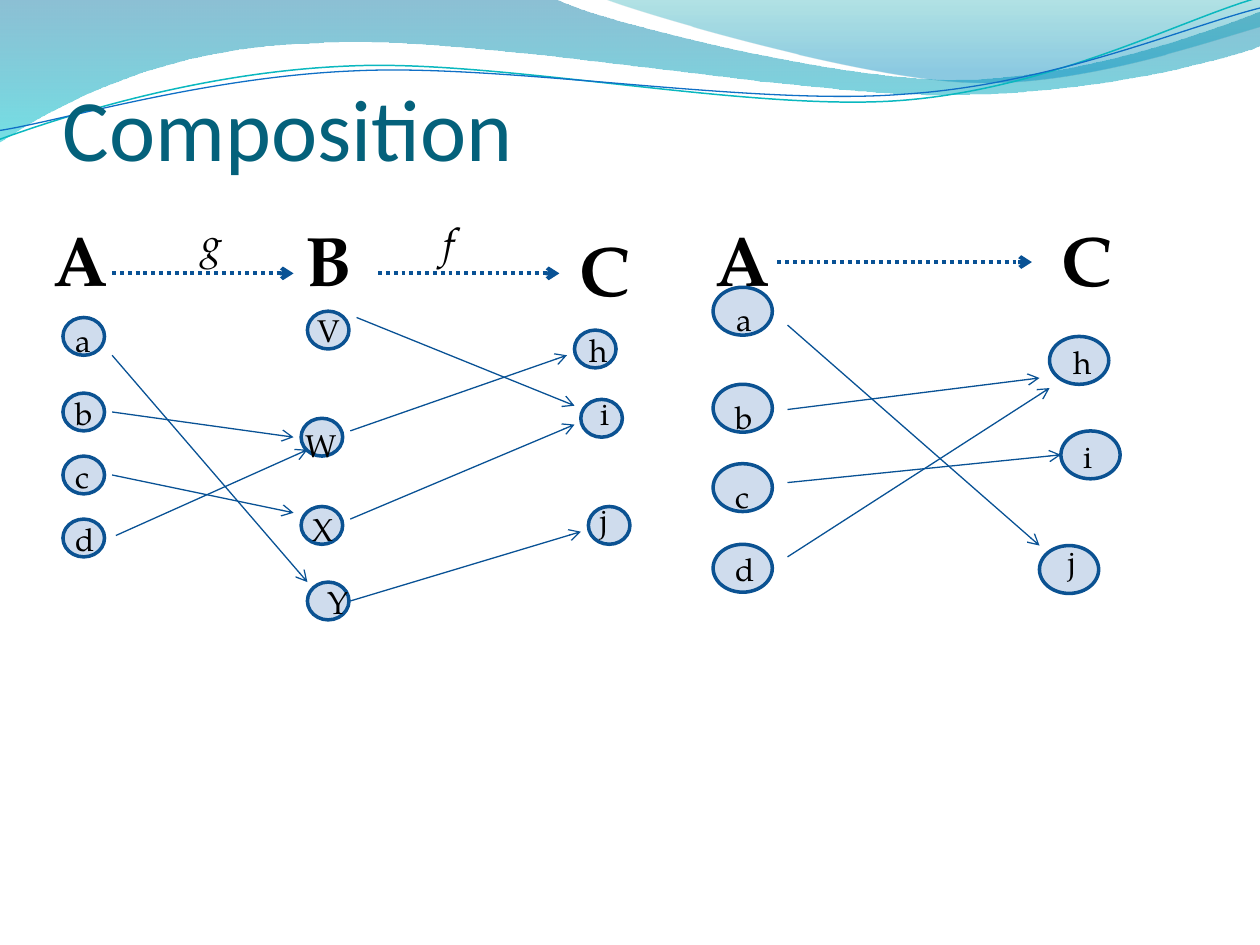
import pptx
import pptx.util
import pptx.dml.color
import pptx.enum.dml
import pptx.enum.shapes
import pptx.enum.text
import pptx.oxml.ns
from lxml import etree

Inches = pptx.util.Inches
Pt = pptx.util.Pt
RGBColor = pptx.dml.color.RGBColor
qn = pptx.oxml.ns.qn

BLACK = RGBColor(0x00, 0x00, 0x00)
TITLE = RGBColor(0x04, 0x61, 0x7B)
NODE_FILL = RGBColor(0x4F, 0x81, 0xBD)
NODE_LINE = RGBColor(0x0B, 0x52, 0x92)
ARROW = RGBColor(0x09, 0x52, 0x95)
DEEP_BLUE = RGBColor(0x00, 0x74, 0xA1)
CYAN = RGBColor(0x00, 0xC6, 0xCF)
TEAL = RGBColor(0x00, 0xA1, 0xA9)
SKY = RGBColor(0x00, 0x8B, 0xBF)
WAVE_TEAL = RGBColor(0x0A, 0xB8, 0xBF)
WAVE_BLUE = RGBColor(0x0F, 0x6F, 0xC6)

SERIF = "TeX Gyre Pagella"
WAVE_TILT = 357.3


def set_alpha(clr, percent):
    etree.SubElement(clr, qn("a:alpha")).set("val", str(percent * 1000))


def add_text(shapes, x, y, w, h, text, size, color=BLACK, font=SERIF,
             bold=False, italic=False):
    sp = shapes.add_textbox(Inches(x), Inches(y), Inches(w), Inches(h))
    tf = sp.text_frame
    tf.word_wrap = True
    tf.auto_size = pptx.enum.text.MSO_AUTO_SIZE.SHAPE_TO_FIT_TEXT
    r = tf.paragraphs[0].add_run()
    r.text = text
    r.font.size, r.font.name = Pt(size), font
    r.font.bold, r.font.italic = bold, italic
    r.font.color.rgb = color
    return tf


def add_node(shapes, x, y, w, h):
    sp = shapes.add_shape(pptx.enum.shapes.MSO_SHAPE.FLOWCHART_CONNECTOR,
                          Inches(x), Inches(y), Inches(w), Inches(h))
    sp.shadow.inherit = False
    sp.fill.solid()
    sp.fill.fore_color.rgb = NODE_FILL
    set_alpha(sp.element.spPr.find(".//" + qn("a:srgbClr")), 27)
    sp.line.color.rgb = NODE_LINE
    sp.line.width = Pt(2)


def add_arrow(shapes, x1, y1, x2, y2, dotted=False):
    cx = shapes.add_connector(pptx.enum.shapes.MSO_CONNECTOR.STRAIGHT,
                              Inches(x1), Inches(y1), Inches(x2), Inches(y2))
    cx.line.color.rgb = ARROW
    cx.line.width = Pt(2.25 if dotted else 0.75)
    if dotted:
        cx.line.dash_style = pptx.enum.dml.MSO_LINE.ROUND_DOT
    spPr = cx.element.spPr
    etree.SubElement(spPr.find(qn("a:ln")), qn("a:tailEnd")).set("type", "arrow")
    etree.SubElement(spPr, qn("a:effectLst"))


def add_path(shapes, start, segments, close):
    """Freeform; a segment of 2 numbers is a line, of 6 a Bezier curve."""
    fb = shapes.build_freeform(Inches(start[0]), Inches(start[1]))
    for seg in segments:
        fb.add_line_segments([(Inches(x), Inches(y))
                              for x, y in zip(seg[::2], seg[1::2])], close=False)
    if close:
        fb.add_line_segments([], close=True)
    sp = fb.convert_to_shape()
    sp.shadow.inherit = False
    # Gather the three points of each curve into one cubic segment
    lines = iter(list(sp.element.spPr.iter(qn("a:lnTo"))))
    for seg in segments:
        first = next(lines)
        if len(seg) == 6:
            curve = etree.Element(qn("a:cubicBezTo"))
            first.addprevious(curve)
            for line in (first, next(lines), next(lines)):
                curve.append(line[0])
                line.getparent().remove(line)
    return sp


def add_band(shapes, start, segments, stops):
    sp = add_path(shapes, start, segments, True)
    sp.line.fill.background()
    sp.fill.gradient()
    sp.fill.gradient_angle = 270
    for stop, (position, color, alpha) in zip(sp.fill.gradient_stops, stops):
        stop.position = position
        stop.color.rgb = color
    for clr, (_, _, alpha) in zip(sp.element.spPr.iter(qn("a:srgbClr")), stops):
        set_alpha(clr, alpha)


def add_wave(shapes, start, segments, color, width):
    sp = add_path(shapes, start, segments, False)
    sp.rotation = WAVE_TILT
    sp.fill.background()
    sp.line.color.rgb = color
    sp.line.width = Pt(width)


def header_waves(slide):
    # Translucent bands
    add_band(slide.shapes, (0, 0), [
        (4.4, -0.01), (4.76, 0.17, 6.64, 0.63, 7.58, 0.63),
        (8.53, 0.63, 9.58, 0.26, 10, 0.09), (10.01, 0.36),
        (9.83, 0.44, 8.7, 0.76, 7.46, 0.75), (6.22, 0.75, 3.82, 0.28, 2.57, 0.34),
        (1.29, 0.36, 0.46, 0.83, -0.01, 1.13), (0, 0)],
        [(0, DEEP_BLUE, 45), (1, CYAN, 55)])
    add_band(slide.shapes, (4.79, -0.01), [
        (5.09, 0.11, 6.82, 0.62, 7.69, 0.65), (8.56, 0.69, 9.61, 0.32, 10, 0.21),
        (10, 0), (4.79, -0.01)],
        [(0, TEAL, 30), (0.8, SKY, 45)])
    # Thin lines, drawn level and then tilted
    shapes = slide.shapes.add_group_shape().shapes
    add_wave(shapes, (-0.02, 0.87), [
        (0.47, 0.72, 1.58, 0.41, 2.78, 0.42), (3.96, 0.42, 5.91, 0.93, 7.12, 0.9),
        (8.32, 0.87, 9.4, 0.36, 10, 0.22)], WAVE_TEAL, 0.85)
    add_wave(shapes, (-0.02, 0.8), [
        (0.46, 0.75, 1.64, 0.45, 2.83, 0.46), (4.03, 0.46, 5.96, 0.89, 7.16, 0.85),
        (8.35, 0.83, 9.42, 0.42, 10.02, 0.3)], WAVE_BLUE, 0.75)


def title(slide, x, y, w, h):
    tf = add_text(slide.shapes, x, y, w, h, "Composition", 50, TITLE, "Calibri")
    tf.auto_size = pptx.enum.text.MSO_AUTO_SIZE.NONE
    tf.margin_left = tf.margin_right = tf.margin_bottom = 0
    tf.vertical_anchor = pptx.enum.text.MSO_ANCHOR.BOTTOM


def mapping(shapes, x, y, node_size, label_size, sets, nodes, set_arrows, arrows,
            functions=()):
    """Diagram at (x, y); each node is (label, oval x, oval y, label x, label y)."""
    for name, dx, dy in sets:
        add_text(shapes, x + dx, y + dy, 0.75, 0.77, name, 40, bold=True)
    for name, dx, dy in functions:
        add_text(shapes, x + dx, y + dy, 0.39, 0.5, name, 24, italic=True)
    for label, ox, oy, tx, ty in nodes:
        add_node(shapes, x + ox, y + oy, *node_size)
        add_text(shapes, x + tx, y + ty, *label_size, label, 18)
    for group, dotted in ((set_arrows, True), (arrows, False)):
        for x1, y1, x2, y2 in group:
            add_arrow(shapes, x + x1, y + y1, x + x2, y + y2, dotted)


def main():
    prs = pptx.Presentation()
    prs.slide_width, prs.slide_height = Inches(10), Inches(7.5)
    slide = prs.slides.add_slide(prs.slide_layouts[6])
    header_waves(slide)
    title(slide, 0.5, 0.17, 9, 1.25)

    # Composed mapping, A to C
    mapping(slide.shapes, 5.58, 1.67, (0.47, 0.38), (0.31, 0.4),
            sets=[("A", 0, 0), ("C", 2.75, 0)],
            nodes=[("a", 0.08, 0.61, 0.17, 0.66), ("b", 0.08, 1.38, 0.16, 1.44),
                   ("c", 0.08, 2.01, 0.16, 2.07), ("d", 0.08, 2.65, 0.16, 2.65),
                   ("h", 2.75, 1, 2.84, 1), ("i", 2.84, 1.75, 2.92, 1.75),
                   ("j", 2.67, 2.66, 2.8, 2.58)],
            set_arrows=[(0.59, 0.41, 2.61, 0.41)],
            arrows=[(0.67, 0.91, 2.67, 2.66), (0.67, 2.75, 2.75, 1.41),
                    (0.67, 1.58, 2.67, 1.33), (0.67, 2.16, 2.84, 1.94)])

    # Two steps, A to B to C
    mapping(slide.shapes.add_group_shape().shapes, 0.33, 1.67, (0.33, 0.3), (0.22, 0.4),
            sets=[("A", 0, 0), ("B", 2, 0), ("C", 4.17, 0.08)],
            functions=[("g", 1.17, 0), ("f", 3.09, 0)],
            nodes=[("a", 0.17, 0.85, 0.17, 0.83), ("b", 0.17, 1.45, 0.17, 1.41),
                   ("c", 0.17, 1.95, 0.17, 1.91), ("d", 0.17, 2.45, 0.17, 2.41),
                   ("V", 2.11, 0.8, 2.09, 0.75), ("W", 2.06, 1.65, 2, 1.66),
                   ("X", 2.06, 2.35, 2.05, 2.33), ("Y", 2.11, 2.95, 2.17, 2.91),
                   ("h", 4.23, 0.95, 4.25, 0.91), ("i", 4.28, 1.5, 4.34, 1.41),
                   ("j", 4.34, 2.35, 4.34, 2.25)],
            set_arrows=[(0.56, 0.5, 2, 0.5), (2.67, 0.5, 4.11, 0.5)],
            arrows=[(0.56, 1.15, 2.11, 2.95), (0.56, 1.6, 2, 1.8),
                    (0.56, 2.1, 2, 2.4), (0.59, 2.58, 2.11, 1.9),
                    (2.5, 0.85, 4.23, 1.55), (2.45, 1.75, 4.17, 1.15),
                    (2.45, 2.45, 4.23, 1.7), (2.45, 3.1, 4.28, 2.55)])
    prs.save("out.pptx")


if __name__ == "__main__":
    main()
